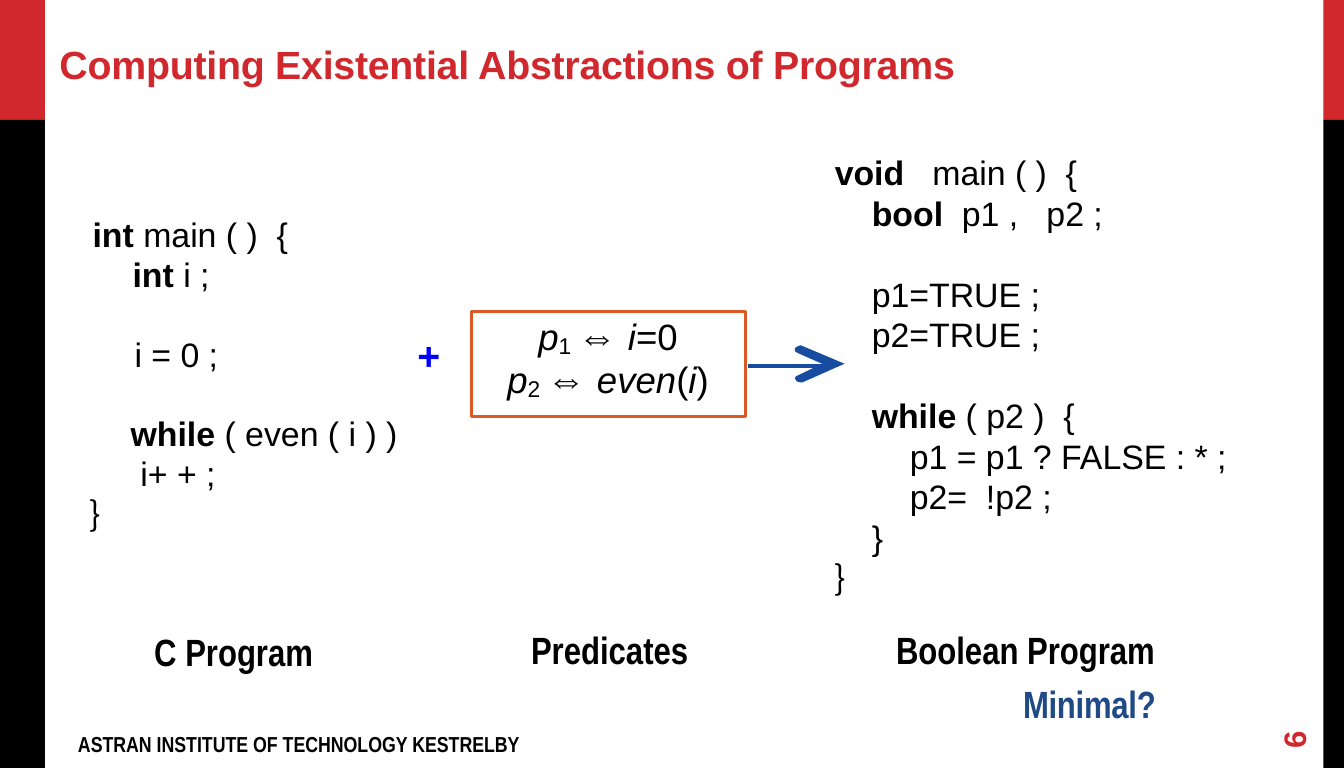
from pptx import Presentation
from pptx import util as u
from pptx.dml.color import RGBColor
from pptx.enum import shapes, text
from pptx.oxml import parse_xml
from pptx.oxml.ns import nsdecls

RED, BLACK, WHITE, BLUE = "D1282E", "000000", "FFFFFF", "174CA1"
LEFT, CENTER = text.PP_ALIGN.LEFT, text.PP_ALIGN.CENTER
TOP, MIDDLE, BOTTOM = (text.MSO_ANCHOR.TOP, text.MSO_ANCHOR.MIDDLE,
                       text.MSO_ANCHOR.BOTTOM)

prs = Presentation()
prs.slide_width, prs.slide_height = u.Inches(13.78125), u.Inches(7.875)
s = prs.slides.add_slide(prs.slide_layouts[6])


def paint(fmt, color):
    """Give a fill or a font a solid colour from a hex string."""
    if hasattr(fmt, "solid"):
        fmt.solid()
        fmt.fore_color.rgb = RGBColor.from_string(color)
    else:
        fmt.color.rgb = RGBColor.from_string(color)


def write(sp, lines, color=BLACK, name="Arial", align=LEFT, anchor=TOP,
          pitch=None):
    """Fill a shape with lines of (indent, gap, runs); a run is (text, format)."""
    tf = sp.text_frame
    tf.word_wrap, tf.vertical_anchor = True, anchor
    tf.margin_left = tf.margin_right = tf.margin_top = tf.margin_bottom = 0
    for i, (indent, gap, runs) in enumerate(lines):
        p = tf.add_paragraph() if i else tf.paragraphs[0]
        p.alignment = align
        p.space_before = u.Pt(gap)
        if pitch:
            p.line_spacing = u.Pt(pitch)
        p._p.get_or_add_pPr().set("marL", str(u.Inches(indent)))
        for words, formats in runs:
            r = p.add_run()
            r.text, r.font.name = words, name
            paint(r.font, color)
            for key, value in formats.items():
                if key in ("baseline", "spc"):
                    r.font._element.set(key, str(value))
                else:
                    setattr(r.font, key, value)


# Side bars
for x, w in ((0, 0.46), (13.57, 0.21)):
    for y, h, color in ((0, 1.23, RED), (1.23, 6.65, BLACK)):
        sp = s.shapes.add_shape(shapes.MSO_SHAPE.RECTANGLE,
                                *map(u.Inches, (x, y, w, h)))
        sp.shadow.inherit = False
        sp.line.fill.background()
        paint(sp.fill, color)

# Single-line labels
labels = (
    ("Computing Existential Abstractions of Programs", (0.61, 0.18, 12.8, 0.72),
     29, RED, "Arial", LEFT, BOTTOM, -20),
    ("+", (4.28, 3.4, 0.34, 0.46), 29, "0000FF", "Arial", LEFT, TOP, 0),
    ("C Program", (1.47, 6.45, 1.85, 0.44), 28, BLACK, "Arial Narrow", CENTER, TOP, 0),
    ("Predicates", (5.24, 6.43, 2.02, 0.44), 28, BLACK, "Arial Narrow", CENTER, TOP, 0),
    ("Boolean Program", (9.05, 6.43, 2.93, 0.44), 28, BLACK, "Arial Narrow", CENTER, TOP, 0),
    ("Minimal?", (10.49, 6.98, 1.6, 0.44), 28, "1F4A86", "Arial Narrow", LEFT, TOP, -20),
    ("ASTRAN INSTITUTE OF TECHNOLOGY KESTRELBY", (0.8, 7.49, 8, 0.28),
     16, BLACK, "Arial Narrow", LEFT, TOP, 0),
    ("6", (12.97, 7.27, 0.59, 0.22), 23, RED, "Arial", LEFT, MIDDLE, 0),
)
for words, box, size, color, name, align, anchor, spc in labels:
    sp = s.shapes.add_textbox(*map(u.Inches, box))
    formats = {"size": u.Pt(size), "bold": True, "spc": spc}
    write(sp, [(0, 0, [(words, formats)])], color, name, align, anchor)
sp.rotation = 270  # page number

# Code listings: indent, whether a gap precedes, keyword, rest of the line
c_program = (
    (0.06, False, "int ", "main ( )  {"),
    (0.47, False, "int ", "i ;"),
    (0.49, True, "", "i = 0 ;"),
    (0.45, True, "while ", "( even ( i ) )"),
    (0.55, False, "", "i+ + ;"),
    (0.03, False, "", "}"),
)
boolean_program = (
    (0, False, "void   ", "main ( )  {"),
    (0.38, False, "bool  ", "p1 ,   p2 ;"),
    (0.38, True, "", "p1=TRUE ;"),
    (0.38, False, "", "p2=TRUE ;"),
    (0.38, True, "while ", "( p2 )  {"),
    (0.77, False, "", "p1 = p1 ? FALSE : * ;"),
    (0.77, False, "", "p2=  !p2 ;"),
    (0.38, False, "", "}"),
    (0, False, "", "}"),
)
for code, box, pitch in ((c_program, (0.89, 2.2, 3.63, 3.75), 29.4),
                         (boolean_program, (8.56, 1.56, 4.77, 4.6), 29.9)):
    lines = []
    for indent, gap, keyword, rest in code:
        runs = [(words, {"size": u.Pt(25), "bold": bold})
                for words, bold in ((keyword, True), (rest, False)) if words]
        lines.append((indent, pitch if gap else 0, runs))
    sp = s.shapes.add_textbox(*map(u.Inches, box))
    write(sp, lines, pitch=pitch)
    # closing brace of the program
    sp.text_frame.paragraphs[-1].runs[0].font.name = "Noto Sans CJK JP"

# Predicates box
plain = {"size": u.Pt(27)}
italic = {"size": u.Pt(27), "italic": True}
sub = {"size": u.Pt(29), "baseline": -10000}
wide = {"size": u.Pt(29)}
predicates = [
    (0, 0, [("p", italic), ("1 ", sub), ("⇔ ", wide), ("i", italic), ("=0", plain)]),
    (0, 0, [("p", italic), ("2 ", sub), ("⇔ ", wide), ("even", italic),
            ("(", plain), ("i", italic), (")", plain)]),
]
sp = s.shapes.add_shape(shapes.MSO_SHAPE.RECTANGLE,
                        *map(u.Inches, (4.83, 3.19, 2.81, 1.08)))
sp.shadow.inherit = False
paint(sp.fill, WHITE)
paint(sp.line.fill, "DC5924")
sp.line.width = u.Pt(2.25)
write(sp, predicates, align=CENTER)
sp.text_frame.paragraphs[1].line_spacing = u.Pt(31.8)

# Arrow from the predicates to the Boolean program
shaft = s.shapes.add_connector(shapes.MSO_CONNECTOR.STRAIGHT,
                               *map(u.Inches, (7.67, 3.75, 8.51, 3.75)))
paint(shaft.line.fill, BLUE)
shaft.line.width = u.Pt(2.96)
shaft._element.spPr.append(parse_xml(f"<a:effectLst {nsdecls('a')}/>"))

# Arrowhead outline in hundredths of an inch
outline = ((818, 355), (815, 357), (815, 360), (818, 362), (843, 373),
           (816, 386), (815, 388), (817, 391), (820, 392), (823, 392),
           (866, 373))
fb = s.shapes.build_freeform(821, 354, scale=u.Inches(0.01))
fb.add_line_segments(outline, close=True)
head = fb.convert_to_shape()
head.shadow.inherit = False
head.line.fill.background()
paint(head.fill, BLUE)

prs.save("out.pptx")
